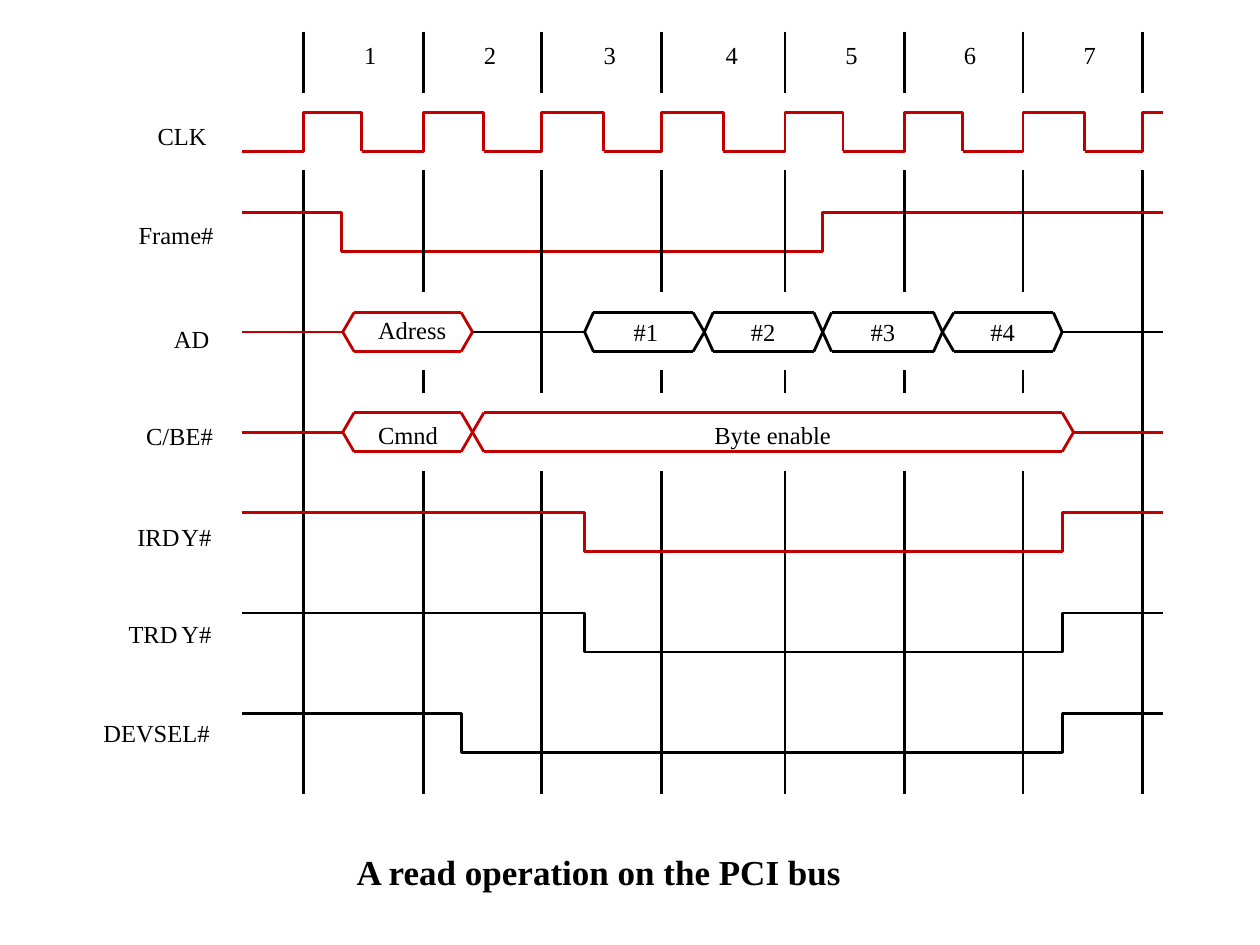
from dataclasses import dataclass
from typing import NamedTuple

from lxml import etree
from pptx import Presentation
from pptx import util as u
from pptx.dml.color import RGBColor
from pptx.enum import shapes, text
from pptx.oxml.ns import qn


@dataclass(frozen=True)
class Theme:
    black: RGBColor = RGBColor(0x00, 0x00, 0x00)
    red: RGBColor = RGBColor(0xC0, 0x00, 0x00)
    font: str = "Times New Roman"
    label_size: u.Pt = u.Pt(14)
    title_size: u.Pt = u.Pt(20)
    line_width: u.Pt = u.Pt(1.62)


THEME = Theme()
Point = tuple[float, float]
Span = tuple[float, float]

TRACE_LEFT, TRACE_RIGHT = 1.92, 9.23
SIGNAL_HEIGHT = 0.31
LABEL_HEIGHT = 0.23
CLK, FRAME, AD, CBE, IRDY, TRDY, DEVSEL = range(7)


def signal_top(row: int) -> float:
    return 0.89 + 0.795 * row


class Cycle(NamedTuple):
    rise: float
    fall: float
    number_left: float


class Wave(NamedTuple):
    """A signal that is low between two times and high elsewhere."""
    row: int
    fall: float
    rise: float
    color: RGBColor


class BusCell(NamedTuple):
    row: int
    left: float
    right: float
    left_slant: float
    right_slant: float
    color: RGBColor


class IdleLine(NamedTuple):
    row: int
    left: float
    right: float
    color: RGBColor


class Label(NamedTuple):
    words: str
    left: float
    top: float
    width: float


CYCLES = [
    Cycle(2.41, 2.87, 2.89), Cycle(3.36, 3.84, 3.84), Cycle(4.30, 4.79, 4.79),
    Cycle(5.25, 5.74, 5.76), Cycle(6.23, 6.69, 6.71), Cycle(7.18, 7.64, 7.65),
    Cycle(8.12, 8.61, 8.60),
]
LAST_RISE = 9.07
EDGES = [cycle.rise for cycle in CYCLES] + [LAST_RISE]
TURNAROUND_EDGE = 4.30

WAVES = [
    Wave(FRAME, 2.71, 6.53, THEME.red),
    Wave(IRDY, 4.64, 8.43, THEME.red),
    Wave(TRDY, 4.64, 8.43, THEME.black),
    Wave(DEVSEL, 3.66, 8.43, THEME.black),
]
BUS_CELLS = [
    BusCell(AD, 2.72, 3.75, 0.09, 0.09, THEME.red),
    BusCell(AD, 4.64, 5.59, 0.07, 0.09, THEME.black),
    BusCell(AD, 5.59, 6.53, 0.07, 0.07, THEME.black),
    BusCell(AD, 6.53, 7.48, 0.07, 0.07, THEME.black),
    BusCell(AD, 7.48, 8.43, 0.09, 0.07, THEME.black),
    BusCell(CBE, 2.72, 3.75, 0.09, 0.09, THEME.red),
    BusCell(CBE, 3.75, 8.52, 0.09, 0.09, THEME.red),
]
IDLE_LINES = [
    IdleLine(AD, TRACE_LEFT, 2.72, THEME.red),
    IdleLine(AD, 3.75, 4.64, THEME.black),
    IdleLine(AD, 8.43, TRACE_RIGHT, THEME.black),
    IdleLine(CBE, TRACE_LEFT, 2.72, THEME.red),
    IdleLine(CBE, 8.52, TRACE_RIGHT, THEME.red),
]
LABELS = [
    Label("CLK", 1.25, 0.96, 0.42), Label("Frame#", 1.10, 1.75, 0.64),
    Label("AD", 1.38, 2.57, 0.32), Label("C/BE#", 1.16, 3.34, 0.57),
    Label("IRD", 1.09, 4.14, 0.37), Label("Y#", 1.44, 4.14, 0.27),
    Label("TRD", 1.02, 4.91, 0.42), Label("Y#", 1.44, 4.91, 0.27),
    Label("DEVSEL#", 0.82, 5.70, 0.89),
    Label("Adress", 3.00, 2.50, 0.58), Label("#1", 5.03, 2.52, 0.23),
    Label("#2", 5.96, 2.52, 0.23), Label("#3", 6.91, 2.52, 0.23),
    Label("#4", 7.86, 2.52, 0.23), Label("Cmnd", 3.00, 3.33, 0.52),
    Label("Byte enable", 5.67, 3.33, 0.97),
]


def draw_line(slide, start: Point, end: Point, color: RGBColor) -> None:
    ends = [u.Inches(value) for value in (*start, *end)]
    line = slide.shapes.add_connector(shapes.MSO_CONNECTOR.STRAIGHT, *ends)
    line.line.color.rgb = color
    line.line.width = THEME.line_width
    etree.SubElement(line._element.spPr, qn("a:effectLst"))


def draw_trace(slide, points: list[Point], color: RGBColor) -> None:
    """Draw an open, unfilled outline through the points."""
    start, *rest = [(u.Inches(x), u.Inches(y)) for x, y in points]
    builder = slide.shapes.build_freeform(*start)
    builder.add_line_segments(rest, close=False)
    shape = builder.convert_to_shape()
    shape.shadow.inherit = False
    shape.fill.background()
    shape.line.color.rgb = color
    shape.line.width = THEME.line_width


def draw_edge(slide, x: float, spans: list[Span]) -> None:
    for top, bottom in spans:
        draw_line(slide, (x, top), (x, bottom), THEME.black)


def draw_clock(slide) -> None:
    high = signal_top(CLK)
    low = high + SIGNAL_HEIGHT
    start = TRACE_LEFT
    for cycle in CYCLES:
        draw_trace(slide, [(start, low), (cycle.rise, low), (cycle.rise, high),
                           (cycle.fall, high), (cycle.fall, low)], THEME.red)
        start = cycle.fall
    draw_trace(slide, [(start, low), (LAST_RISE, low), (LAST_RISE, high),
                       (TRACE_RIGHT, high)], THEME.red)


def draw_wave(slide, wave: Wave) -> None:
    high = signal_top(wave.row)
    low = high + SIGNAL_HEIGHT
    draw_trace(slide, [(TRACE_LEFT, high), (wave.fall, high), (wave.fall, low),
                       (wave.rise, low), (wave.rise, high),
                       (TRACE_RIGHT, high)], wave.color)


def draw_bus_cell(slide, cell: BusCell) -> None:
    top = signal_top(cell.row)
    middle, bottom = top + SIGNAL_HEIGHT / 2, top + SIGNAL_HEIGHT
    inner_left = cell.left + cell.left_slant
    inner_right = cell.right - cell.right_slant
    for inner, tip in ((inner_left, cell.left), (inner_right, cell.right)):
        draw_trace(slide, [(inner, top), (tip, middle), (inner, bottom)], cell.color)
    for y in (top, bottom):
        draw_line(slide, (inner_left, y), (inner_right, y), cell.color)


def add_label(slide, label: Label, height: float = LABEL_HEIGHT,
              size: u.Pt = THEME.label_size, bold: bool = False,
              wrap: bool = False) -> None:
    box = slide.shapes.add_textbox(u.Inches(label.left), u.Inches(label.top),
                                   u.Inches(label.width), u.Inches(height))
    frame = box.text_frame
    frame.margin_left = frame.margin_right = frame.margin_top = frame.margin_bottom = 0
    frame.word_wrap = wrap
    frame.auto_size = text.MSO_AUTO_SIZE.SHAPE_TO_FIT_TEXT
    run = frame.paragraphs[0].add_run()
    run.text = label.words
    run.font.name = THEME.font
    run.font.size = size
    run.font.bold = bold
    run.font.color.rgb = THEME.black


def main() -> None:
    presentation = Presentation()
    presentation.slide_width = u.Inches(10)
    presentation.slide_height = u.Inches(7.5)
    slide = presentation.slides.add_slide(presentation.slide_layouts[6])

    for x in EDGES:
        outer = x in (EDGES[0], EDGES[-1])
        draw_edge(slide, x, [(0.25, 0.74), (1.35 if outer else 3.74, 6.30)])
    draw_clock(slide)
    for wave in WAVES:
        draw_wave(slide, wave)
    for x in EDGES[1:-1]:
        unbroken = x == TURNAROUND_EDGE
        draw_edge(slide, x, [(1.35, 3.12)] if unbroken else [(1.35, 2.32), (2.94, 3.12)])
    for cell in BUS_CELLS:
        draw_bus_cell(slide, cell)
    for idle in IDLE_LINES:
        y = signal_top(idle.row) + SIGNAL_HEIGHT / 2
        draw_line(slide, (idle.left, y), (idle.right, y), idle.color)

    for number, cycle in enumerate(CYCLES, start=1):
        add_label(slide, Label(str(number), cycle.number_left, 0.32, 0.10))
    for label in LABELS:
        add_label(slide, label)
    title = Label("A read operation on the PCI bus", 2.83, 6.75, 4.83)
    add_label(slide, title, 0.33, THEME.title_size, bold=True, wrap=True)
    presentation.save("out.pptx")


if __name__ == "__main__":
    main()
